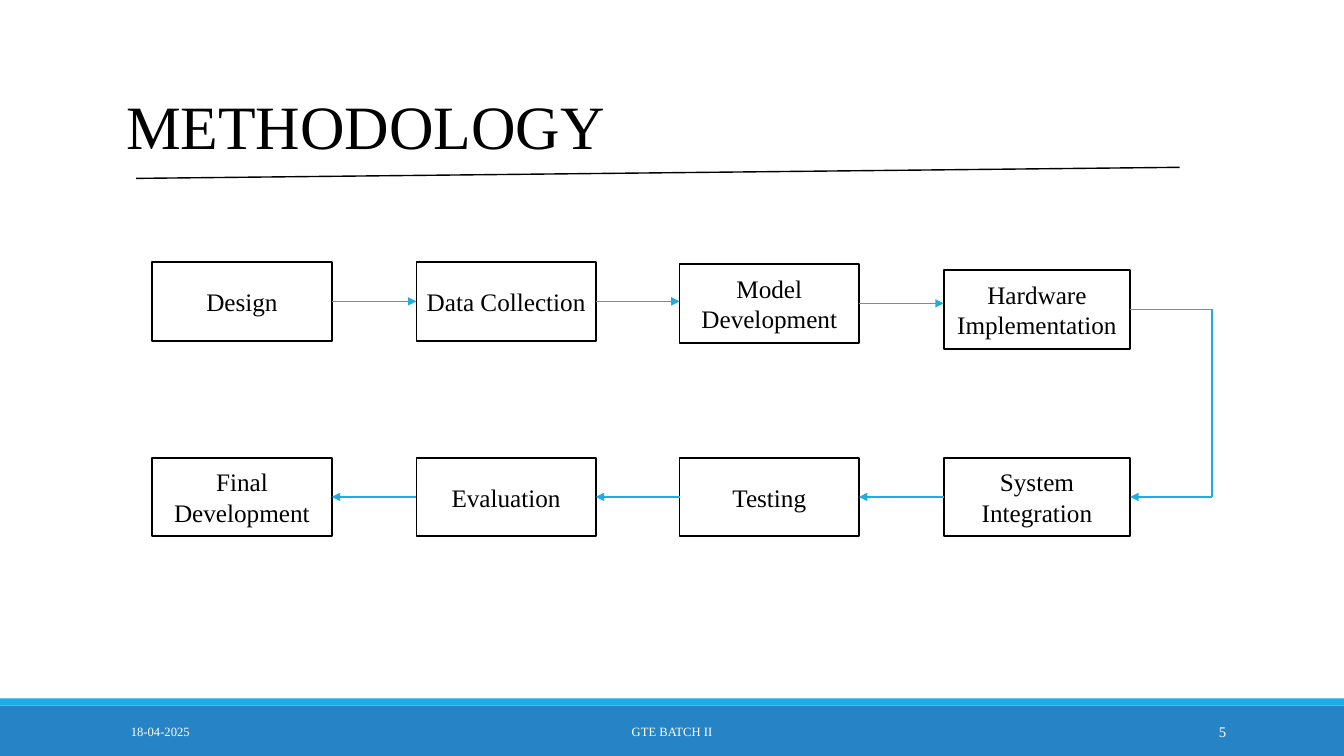
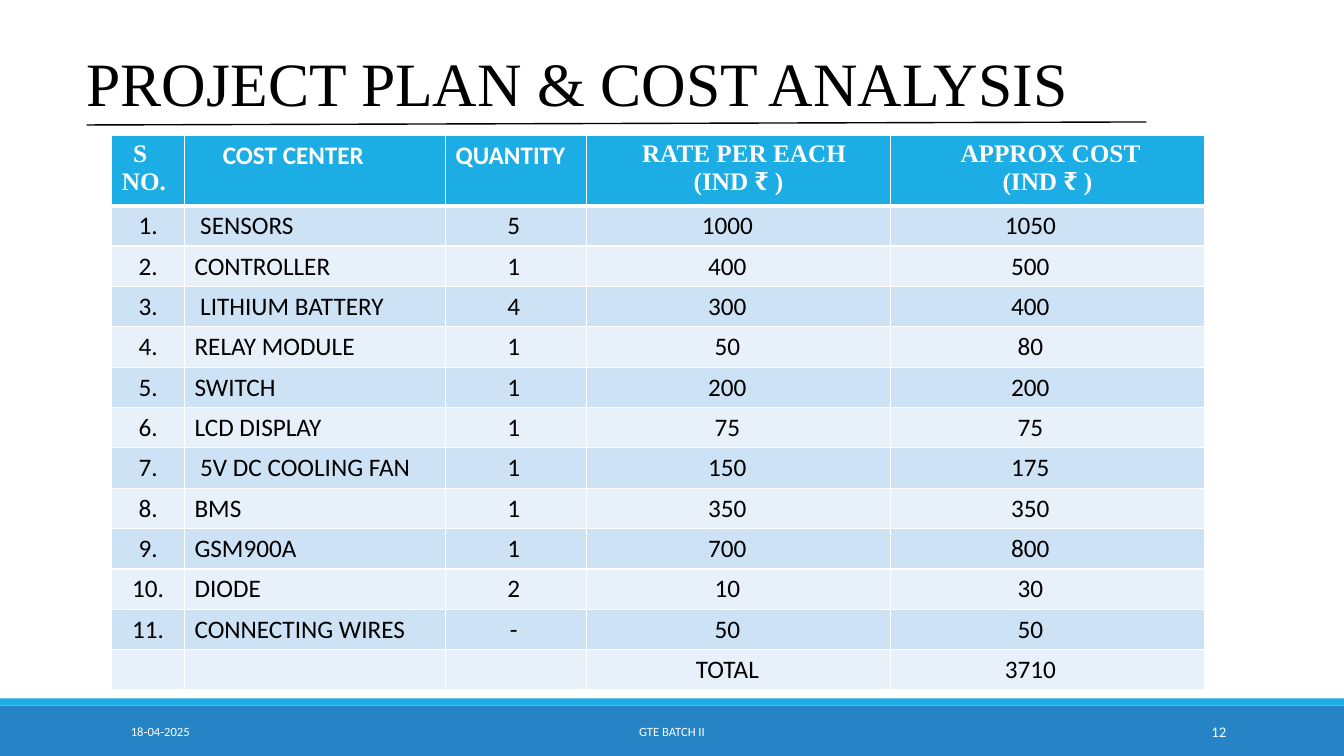
from dataclasses import dataclass
from lxml import etree
from pptx import Presentation
from pptx import util as u
from pptx.dml.color import RGBColor
from pptx.enum import shapes, text
from pptx.oxml import ns


@dataclass(frozen=True)
class Theme:
    band: str = "2683C6"
    accent: str = "1CADE4"
    ink: str = "000000"
    paper: str = "FFFFFF"
    stripes: tuple = ("E8F1FA", "CDE3F5")
    serif: str = "Times New Roman"
    sans: str = "Calibri"
    title: float = 44
    body: float = 18
    footer: float = 9
    number: float = 10.5


T = Theme()
PX = 9144
LEFT, CENTER, RIGHT = text.PP_ALIGN.LEFT, text.PP_ALIGN.CENTER, text.PP_ALIGN.RIGHT
TOP, MIDDLE, BOTTOM = text.MSO_ANCHOR.TOP, text.MSO_ANCHOR.MIDDLE, text.MSO_ANCHOR.BOTTOM


def write(frame, words, size=T.body, font=T.serif, color=T.ink, bold=False,
          align=LEFT, anchor=MIDDLE, indent=0):
    frame.word_wrap = True
    frame.vertical_anchor = anchor
    for i, words_in_line in enumerate(words.split("\n")):
        paragraph = frame.paragraphs[0] if i == 0 else frame.add_paragraph()
        paragraph.alignment = align
        if indent and i == 0:
            paragraph._p.get_or_add_pPr().set("indent", str(indent * PX))
        run = paragraph.add_run()
        run.text = words_in_line
        run.font.size = u.Pt(size)
        run.font.name = font
        run.font.bold = bold
        run.font.color.rgb = RGBColor.from_string(color)


def draw_line(slide, start, end, color=T.accent, arrow=False):
    line = slide.shapes.add_connector(
        shapes.MSO_CONNECTOR.STRAIGHT, *(v * PX for v in (*start, *end)))
    line.line.color.rgb = RGBColor.from_string(color)
    line.line.width = u.Pt(1)
    properties = line._element.spPr
    if arrow:
        etree.SubElement(line.line._get_or_add_ln(), ns.qn("a:tailEnd"), type="triangle")
    etree.SubElement(properties, ns.qn("a:effectLst"))
    return line


prs = Presentation()
prs.slide_width, prs.slide_height = 1333 * PX, 750 * PX
title_only = prs.slide_layouts[5]

pages = [
    ("METHODOLOGY", (115, 82, 667, 84), (135, 177), (1170, 166), "5", T.serif),
    ("PROJECT PLAN & COST ANALYSIS", (76, 39, 1070, 84), (86, 124), (1137, 121), "12", T.sans),
]
slides = []
for heading, place, rule_start, rule_end, number, footer_font in pages:
    slide = prs.slides.add_slide(title_only)
    slides.append(slide)
    title = slide.shapes.title
    title.left, title.top, title.width, title.height = (v * PX for v in place)
    title.text_frame.auto_size = text.MSO_AUTO_SIZE.NONE
    write(title.text_frame, heading, size=T.title, anchor=BOTTOM)
    draw_line(slide, rule_start, rule_end, T.ink)
    for words, left, width, align, size in (
            ("18-04-2025", 120, 270, LEFT, T.footer),
            ("GTE BATCH II", 403, 527, CENTER, T.footer),
            (number, 1083, 143, RIGHT, T.number)):
        footer = slide.shapes.add_textbox(left * PX, 706 * PX, width * PX, 40 * PX)
        write(footer.text_frame, words, size=size, font=footer_font, color=T.paper, align=align)

methodology, costs = slides

for i, (top, height, color) in enumerate(((700, 50, T.band), (693, 7, T.accent))):
    band = methodology.shapes.add_shape(
        shapes.MSO_SHAPE.RECTANGLE, 0, top * PX, 1333 * PX, height * PX)
    band.shadow.inherit = False
    band.fill.solid()
    band.fill.fore_color.rgb = RGBColor.from_string(color)
    band.line.fill.background()
    band.element.nvSpPr.cNvPr.set("id", str(20 + i))
    prs.slide_master.shapes.element.insert(2 + i, band.element)

step_height = 78
step_lefts = [round(151 + column * 785 / 3) for column in range(4)]
step_widths = [178, 178, 178, 185]
step_rows = [
    (["Design", "Data Collection", "Model Development", "Hardware Implementation"],
     [260, 260, 262, 268]),
    (["Final Development", "Evaluation", "Testing", "System Integration"], [454] * 4),
]
steps = []
for names, tops in step_rows:
    for name, left, top, width in zip(names, step_lefts, tops, step_widths):
        step = methodology.shapes.add_shape(
            shapes.MSO_SHAPE.RECTANGLE, left * PX, top * PX, width * PX, step_height * PX)
        step.shadow.inherit = False
        step.fill.solid()
        step.fill.fore_color.rgb = RGBColor.from_string(T.paper)
        step.line.color.rgb = RGBColor.from_string(T.ink)
        step.line.width = u.Pt(1.25)
        step.text_frame.margin_left = step.text_frame.margin_right = 5 * PX
        write(step.text_frame, name, align=CENTER)
        steps.append(step)

forward, backward = steps[:4], steps[4:]
middles = [top + step_height // 2 for top in step_rows[0][1]]
return_y = 454 + step_height // 2
for i in range(3):
    near, far = step_lefts[i] + step_widths[i], step_lefts[i + 1]
    onward = draw_line(methodology, (near, middles[i]), (far, middles[i]), arrow=True)
    onward.begin_connect(forward[i], 3)
    if middles[i] == middles[i + 1]:
        onward.end_connect(forward[i + 1], 1)
    back = draw_line(methodology, (far, return_y), (near, return_y), arrow=True)
    back.begin_connect(backward[i + 1], 1)
    back.end_connect(backward[i], 3)

row_end, turn_x = step_lefts[3] + step_widths[3], 1202
turn_out = draw_line(methodology, (row_end, middles[3]), (turn_x, middles[3]))
turn_out.begin_connect(forward[3], 3)
draw_line(methodology, (turn_x, middles[3]), (turn_x, return_y))
turn_in = draw_line(methodology, (turn_x, return_y), (row_end, return_y), arrow=True)
turn_in.end_connect(backward[3], 3)

headers = [
    ("S NO.", T.serif, LEFT, 11),
    ("COST CENTER", T.sans, LEFT, 28),
    ("QUANTITY", T.sans, LEFT, 0),
    ("RATE PER EACH\n(IND ₹ )", T.serif, CENTER, 11),
    ("APPROX COST\n(IND ₹ )", T.serif, CENTER, 6),
]
items = [
    (" SENSORS", "5", "1000", "1050"),
    ("CONTROLLER", "1", "400", "500"),
    (" LITHIUM BATTERY", "4", "300", "400"),
    ("RELAY MODULE", "1", "50", "80"),
    ("SWITCH", "1", "200", "200"),
    ("LCD DISPLAY", "1", "75", "75"),
    (" 5V DC COOLING FAN", "1", "150", "175"),
    ("BMS", "1", "350", "350"),
    ("GSM900A", "1", "700", "800"),
    ("DIODE", "2", "10", "30"),
    ("CONNECTING WIRES", "-", "50", "50"),
]
cost_rows = [(f"{i}.", *item) for i, item in enumerate(items, 1)]
cost_rows.append(("", "", "", "TOTAL", "3710"))
column_widths = [72, 259, 140, 301, 312]
column_aligns = [CENTER, LEFT, CENTER, CENTER, CENTER]
right_margins = [10, 10, 15, 32, 44]
header_height, row_height = 68, 40

cost_table = costs.shapes.add_table(
    len(cost_rows) + 1, len(column_widths), 111 * PX, 134 * PX, sum(column_widths) * PX,
    (header_height + row_height * len(cost_rows)) * PX).table
cost_table.horz_banding = False
for column, width in zip(cost_table.columns, column_widths):
    column.width = width * PX
for r, row in enumerate(cost_table.rows):
    row.height = (row_height if r else header_height) * PX
    for c, cell in enumerate(row.cells):
        cell.fill.solid()
        cell.fill.fore_color.rgb = RGBColor.from_string(T.stripes[r % 2] if r else T.accent)
        if r == 0:
            words, font, align, indent = headers[c]
            write(cell.text_frame, words, font=font, color=T.paper, bold=True,
                  align=align, indent=indent)
        elif cost_rows[r - 1][c]:
            cell.margin_right = right_margins[c] * PX
            write(cell.text_frame, cost_rows[r - 1][c], font=T.sans, align=column_aligns[c])
        cell.vertical_anchor = TOP
        borders = (("L", 1), ("R", 1), ("T", 3 if r == 1 else 1), ("B", 1 if r else 3))
        for position, (side, points) in enumerate(borders):
            border = etree.Element(ns.qn(f"a:ln{side}"), w=str(u.Pt(points)))
            paint = etree.SubElement(border, ns.qn("a:solidFill"))
            etree.SubElement(paint, ns.qn("a:srgbClr"), val=T.paper)
            cell._tc.get_or_add_tcPr().insert(position, border)

prs.save("out.pptx")
